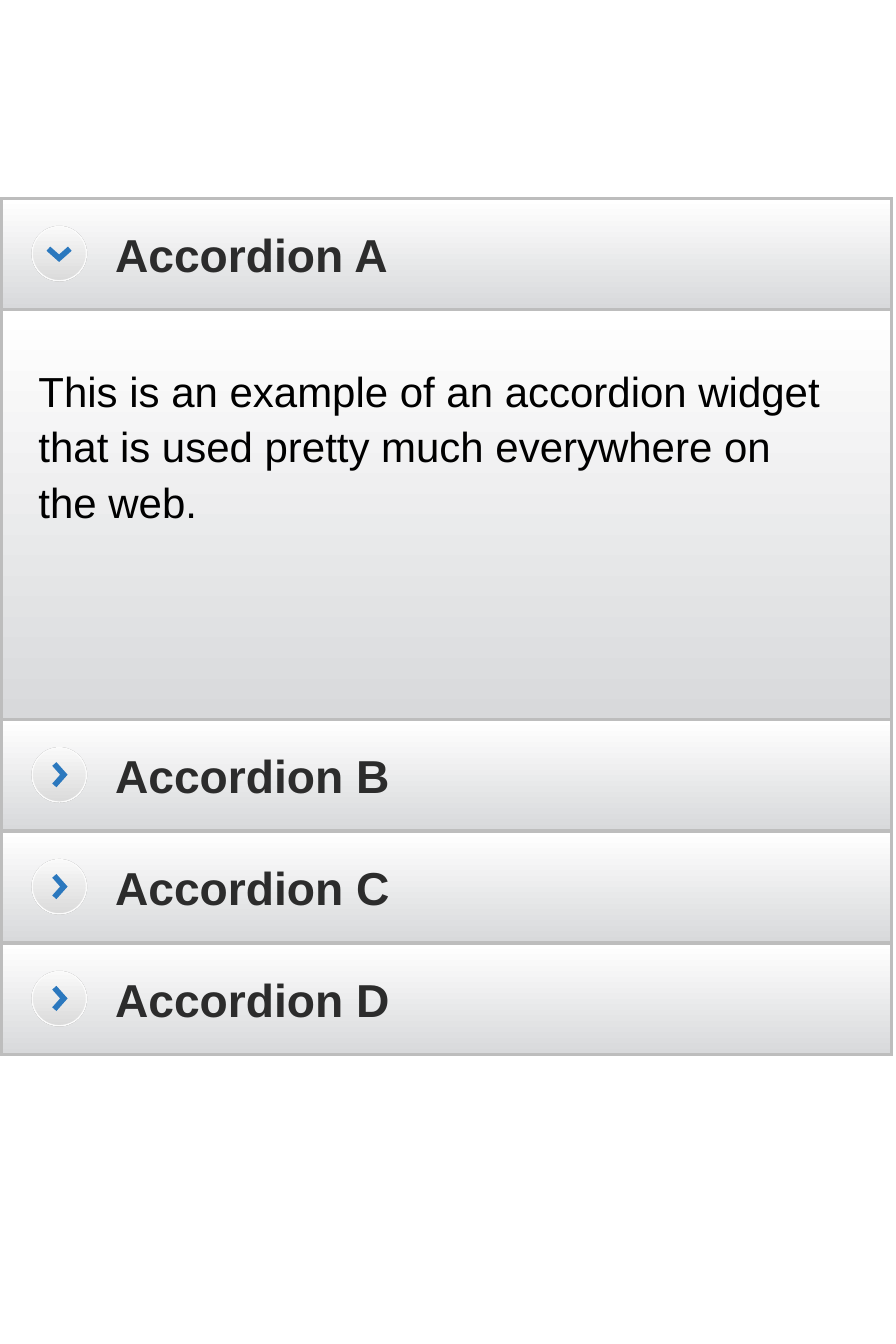
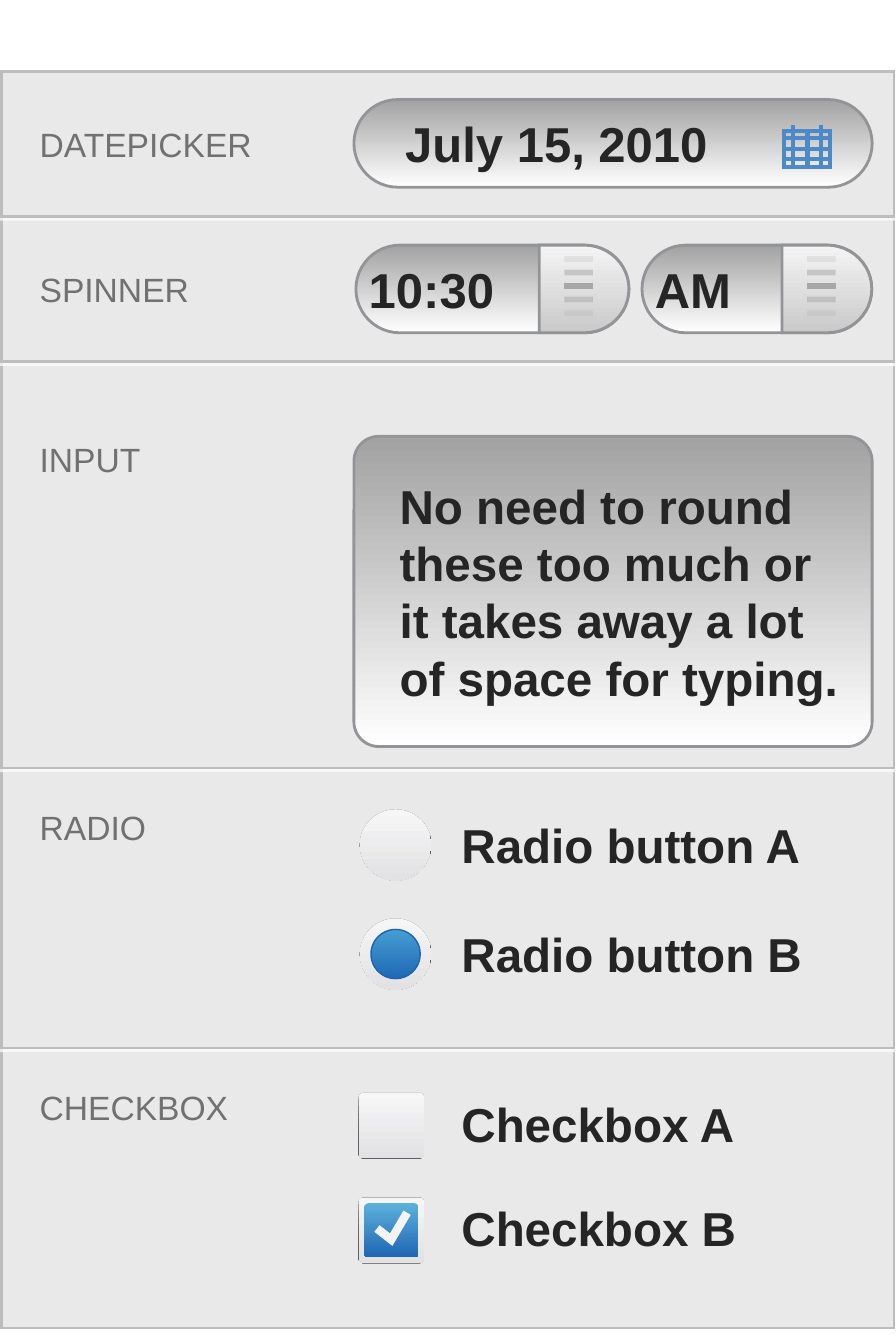
import itertools
from dataclasses import dataclass
from typing import NamedTuple

import pptx
import pptx.dml.color
import pptx.enum.shapes
import pptx.enum.text
import pptx.oxml
import pptx.oxml.ns
import pptx.shapes.autoshape
import pptx.shapes.base
import pptx.shapes.shapetree
import pptx.slide
import pptx.util
from pptx.util import Cm

qn = pptx.oxml.ns.qn
Preset = pptx.enum.shapes.MSO_SHAPE
Anchor = pptx.enum.text.MSO_ANCHOR
Shape = pptx.shapes.autoshape.Shape
Canvas = pptx.shapes.shapetree.SlideShapes | pptx.shapes.shapetree.GroupShapes


class Gradient(NamedTuple):
    """Colours from top to bottom."""
    top: str
    bottom: str


class Stroke(NamedTuple):
    color: str
    points: float
    opacity: int = 100


class TextStyle(NamedTuple):
    size: int
    color: str
    bold: bool = True
    line_spacing: float = 1.0


class Frame(NamedTuple):
    """Place and size in centimetres."""
    left: float
    top: float
    width: float
    height: float

    def inset(self, margin: float) -> "Frame":
        return Frame(self.left + margin, self.top + margin,
                     self.width - 2 * margin, self.height - 2 * margin)


class Shadow(NamedTuple):
    color: str
    opacity: int
    points: float


@dataclass(frozen=True)
class Theme:
    font: str = "Arial"
    bar: Gradient = Gradient("FFFFFF", "D8D9DB")
    button: Gradient = Gradient("F9F9F9", "DBDBDB")
    field: Gradient = Gradient("A2A2A2", "FFFFFF")
    grip: Gradient = Gradient("F4F4F4", "CACACA")
    control: Gradient = Gradient("F6F6F7", "E2E2E4")
    radio_dot: Gradient = Gradient("459ED3", "2069B5")
    check_fill: Gradient = Gradient("5DB0DB", "1E66B4")
    panel: str = "E9E9E9"
    border: Stroke = Stroke("BDBDBD", 2)
    button_edge: Stroke = Stroke("FBFBFB", 1)
    chevron: Stroke = Stroke("2B78BE", 4)
    field_edge: Stroke = Stroke("929497", 2)
    calendar: Stroke = Stroke("4D88C7", 3)
    dot_edge: Stroke = Stroke("1D63B0", 1)
    check_mark: Stroke = Stroke("F4F4F4", 6)
    ridge_color: str = "A6A7A6"
    header: TextStyle = TextStyle(33, "2C2C2C")
    body: TextStyle = TextStyle(30, "000000", False, 1.1)
    label: TextStyle = TextStyle(24, "717171", False)
    value: TextStyle = TextStyle(35, "252525")
    option: TextStyle = TextStyle(34, "252525")
    panel_shadow: Shadow = Shadow("FFFFFF", 70, 2)
    button_shadow: Shadow = Shadow("000000", 40, 0)
    control_shadow: Shadow = Shadow("000000", 60, 0)


THEME = Theme()


def rgb(color: str) -> pptx.dml.color.RGBColor:
    return pptx.dml.color.RGBColor.from_string(color)


def set_stroke(shape: pptx.shapes.base.BaseShape, stroke: Stroke) -> None:
    """Draw the line with sharp corners and the stroke's opacity."""
    shape.line.color.rgb = rgb(stroke.color)
    shape.line.width = pptx.util.Pt(stroke.points)
    line = shape.element.spPr.find(qn("a:ln"))
    pptx.oxml.ns  # namespace map used by qn
    line.append(line.makeelement(qn("a:miter"), {"lim": "800000"}))
    if stroke.opacity < 100:
        color = next(line.iter(qn("a:srgbClr")))
        color.append(color.makeelement(qn("a:alpha"), {"val": str(stroke.opacity * 1000)}))


def set_shadow(shape: Shape, shadow: Shadow) -> None:
    """Cast a hard shadow straight down."""
    effects = shape.element.spPr.find(qn("a:effectLst"))
    outer = effects.makeelement(qn("a:outerShdw"), {
        "blurRad": "0", "dist": str(pptx.util.Pt(shadow.points)),
        "dir": "5400000", "rotWithShape": "0"})
    color = outer.makeelement(qn("a:srgbClr"), {"val": shadow.color})
    color.append(color.makeelement(qn("a:alpha"), {"val": str(shadow.opacity * 1000)}))
    outer.append(color)
    effects.append(outer)


def add_figure(canvas: Canvas, preset: Preset, frame: Frame, fill: Gradient | str | None,
               stroke: Stroke | None = None, corner: float | None = None,
               shadow: Shadow | None = None) -> Shape:
    shape = canvas.add_shape(preset, *map(Cm, frame))
    shape.shadow.inherit = False
    if corner is not None:
        shape.adjustments[0] = corner
    if isinstance(fill, Gradient):
        shape.fill.gradient()
        shape.fill.gradient_angle = 270
        for stop, color in zip(shape.fill.gradient_stops, fill):
            stop.color.rgb = rgb(color)
    elif fill:
        shape.fill.solid()
        shape.fill.fore_color.rgb = rgb(fill)
    else:
        shape.fill.background()
    if stroke:
        set_stroke(shape, stroke)
    else:
        shape.line.fill.background()
    if shadow:
        set_shadow(shape, shadow)
    return shape


def add_line(canvas: Canvas, start: tuple[float, float], end: tuple[float, float],
             stroke: Stroke) -> None:
    line = canvas.add_connector(pptx.enum.shapes.MSO_CONNECTOR.STRAIGHT,
                                *map(Cm, start + end))
    set_stroke(line, stroke)
    properties = line.element.spPr
    properties.append(properties.makeelement(qn("a:effectLst"), {}))


def add_open_outline(canvas: Canvas, points: list[tuple[float, float]],
                     stroke: Stroke) -> None:
    start, *rest = [(Cm(x), Cm(y)) for x, y in points]
    builder = canvas.build_freeform(*start)
    builder.add_line_segments(rest, close=False)
    outline = builder.convert_to_shape()
    outline.shadow.inherit = False
    outline.fill.background()
    set_stroke(outline, stroke)


def write(shape: Shape, text: str, style: TextStyle, indent: float = 0,
          drop: float | None = None) -> None:
    """Set left-aligned text, centred vertically unless a drop from the top is given."""
    box = shape.text_frame
    box.word_wrap = True
    box.margin_left, box.margin_top = Cm(indent), Cm(drop or 0)
    box.margin_right = box.margin_bottom = 0
    box.vertical_anchor = Anchor.MIDDLE if drop is None else Anchor.TOP
    box.text = text
    for para in box.paragraphs:
        para.alignment = pptx.enum.text.PP_ALIGN.LEFT
        para.line_spacing = style.line_spacing
        para.font.name = THEME.font
        para.font.size = pptx.util.Pt(style.size)
        para.font.bold = style.bold
        para.font.color.rgb = rgb(style.color)


def add_text(canvas: Canvas, frame: Frame, text: str, style: TextStyle) -> None:
    write(canvas.add_textbox(*map(Cm, frame)), text, style)


def add_accordion_header(canvas: Canvas, top: float, text: str, is_open: bool) -> None:
    bar = add_figure(canvas, Preset.RECTANGLE, Frame(0.03, top, 22.43, 2.8),
                     THEME.bar, THEME.border)
    write(bar, text, THEME.header, indent=2.87)
    add_figure(canvas, Preset.OVAL, Frame(0.81, top + 0.71, 1.37, 1.37),
               THEME.button, THEME.button_edge, shadow=THEME.button_shadow)
    chevron = [(-0.12, -0.27), (0.12, 0), (-0.12, 0.27)]
    if is_open:
        chevron = [(y, x) for x, y in chevron]
    add_open_outline(canvas, [(1.49 + x, top + 1.39 + y) for x, y in chevron],
                     THEME.chevron)


def build_accordion(page: pptx.slide.Slide) -> None:
    body = Frame(0.03, 7.8, 22.43, 10.34)
    add_figure(page.shapes, Preset.RECTANGLE, body, THEME.bar, THEME.border)
    add_text(page.shapes, Frame(0.97, 8.99, 20.47, 4.37),
             "This is an example of an accordion widget\n"
             "that is used pretty much everywhere on\nthe web.", THEME.body)
    for index, letter in enumerate("BCD"):
        add_accordion_header(page.shapes, 18.14 + 2.82 * index,
                             f"Accordion {letter}", False)
    add_accordion_header(page.shapes, 5.0, "Accordion A", True)


class Panel(NamedTuple):
    label: str
    height: float
    drop: float | None = None


PANELS = [Panel("DATEPICKER", 3.66), Panel("SPINNER", 3.66), Panel("INPUT", 10.24, 1.95),
          Panel("RADIO", 7.06, 0.97), Panel("CHECKBOX", 7.06, 0.97)]


def add_panels(canvas: Canvas) -> None:
    """Stack the panels from the bottom up, so each shadow falls on the next one."""
    tops = itertools.accumulate((panel.height for panel in PANELS), initial=1.8)
    for panel, top in reversed(list(zip(PANELS, tops))):
        shape = add_figure(canvas, Preset.RECTANGLE, Frame(0.03, top, 22.5, panel.height),
                           THEME.panel, THEME.border, shadow=THEME.panel_shadow)
        write(shape, panel.label, THEME.label, 0.97, panel.drop)


def add_field(canvas: Canvas, frame: Frame, text: str, style: TextStyle,
              indent: float = 0, corner: float = 0.5) -> None:
    field = add_figure(canvas, Preset.ROUNDED_RECTANGLE, frame, THEME.field,
                       THEME.field_edge, corner)
    write(field, text, style, indent)


def add_calendar(canvas: Canvas, frame: Frame) -> None:
    left, top, width, height = frame
    right, bottom = left + width, top + height
    add_figure(canvas, Preset.RECTANGLE, frame, None, THEME.calendar)
    for x, rise in ((0.23, 0.15), (0.59, 0), (0.92, 0.15)):
        add_line(canvas, (left + x, top - rise), (left + x, bottom), THEME.calendar)
    for y in (0.18, 0.45, 0.71):
        add_line(canvas, (left, top + y), (right, top + y), THEME.calendar)


def add_spinner(canvas: Canvas, frame: Frame, text: str) -> None:
    add_field(canvas, frame, text, THEME.value)
    grip = Frame(frame.left + frame.width - 2.26, frame.top, 2.26, frame.height)
    add_figure(canvas, Preset.FLOWCHART_DELAY, grip, THEME.grip, THEME.field_edge)
    left = grip.left + 0.63
    for index, opacity in enumerate((20, 50, 100, 50, 20)):
        y = grip.top + 0.35 + 0.34 * index
        add_line(canvas, (left, y), (left + 0.72, y), Stroke(THEME.ridge_color, 4, opacity))


def add_radio(canvas: Canvas, top: float, selected: bool) -> None:
    ring = Frame(9.07, top, 1.8, 1.8)
    add_figure(canvas, Preset.OVAL, ring, THEME.control, shadow=THEME.control_shadow)
    if selected:
        add_figure(canvas, Preset.OVAL, ring.inset(0.28), THEME.radio_dot, THEME.dot_edge)


def add_checkbox(canvas: Canvas, top: float, selected: bool) -> None:
    square = Frame(9.04, top, 1.65, 1.65)
    add_figure(canvas, Preset.ROUNDED_RECTANGLE, square, THEME.control, corner=0.06,
               shadow=THEME.control_shadow)
    if selected:
        add_figure(canvas, Preset.ROUNDED_RECTANGLE, square.inset(0.14),
                   THEME.check_fill, corner=0.08)
        tick = [(0.46, 0.78), (0.82, 1.06), (1.22, 0.38)]
        add_open_outline(canvas, [(square.left + x, top + y) for x, y in tick],
                         THEME.check_mark)


def build_form(page: pptx.slide.Slide) -> None:
    shapes = page.shapes
    add_panels(shapes)
    add_field(shapes, Frame(8.92, 2.51, 13.06, 2.21), "July 15, 2010", THEME.value, 0.97)
    add_calendar(shapes.add_group_shape().shapes, Frame(19.76, 3.3, 1.15, 0.91))
    for left, width, text in ((8.97, 6.88, "10:30"), (16.18, 5.79, "AM")):
        add_spinner(shapes.add_group_shape().shapes, Frame(left, 6.18, width, 2.21), text)
    add_field(shapes, Frame(8.92, 11.0, 13.06, 7.82),
              "No need to round\nthese too much or\nit takes away a lot\nof space for typing.",
              THEME.option, 0.97, corner=0.08)
    for add_control, name, top, step, text_drop in (
            (add_radio, "Radio button", 20.4, 2.75, 0.16),
            (add_checkbox, "Checkbox", 27.55, 2.64, 0.04)):
        for index, letter in enumerate("AB"):
            y = top + step * index
            add_control(shapes.add_group_shape().shapes, y, letter == "B")
            add_text(shapes, Frame(11.63, y + text_drop, 8.64, 1.45),
                     f"{name} {letter}", THEME.option)


def main() -> None:
    deck = pptx.Presentation()
    deck.slide_width, deck.slide_height = Cm(22.58), Cm(33.88)
    blank = deck.slide_layouts.get_by_name("Blank")
    for build in (build_accordion, build_form):
        build(deck.slides.add_slide(blank))
    deck.save("out.pptx")


if __name__ == "__main__":
    main()
